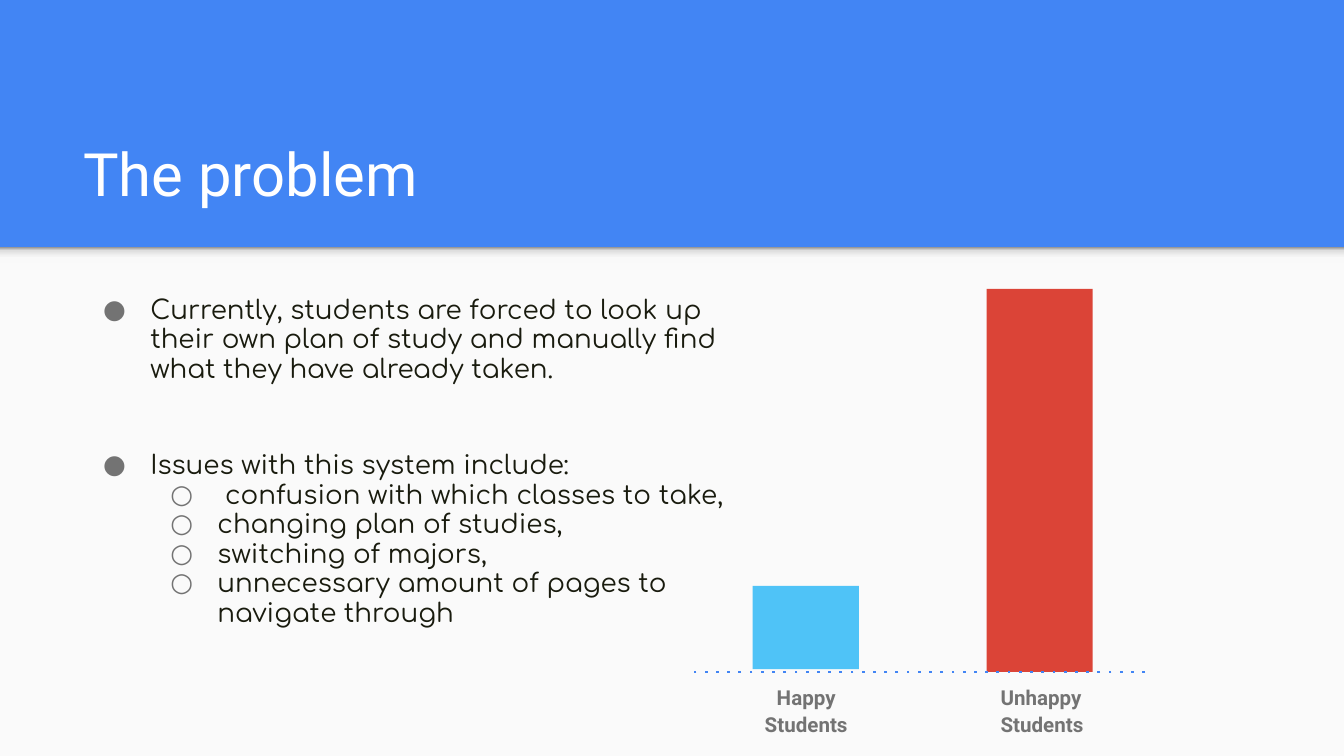
import pptx
import pptx.util
import pptx.dml.color
import pptx.enum.dml
import pptx.enum.shapes
import pptx.enum.text
import pptx.oxml
import pptx.oxml.ns
from lxml import etree

Inches, Pt = pptx.util.Inches, pptx.util.Pt
RGBColor = pptx.dml.color.RGBColor
Align, Anchor = pptx.enum.text.PP_ALIGN, pptx.enum.text.MSO_ANCHOR
qn = pptx.oxml.ns.qn

BLUE = RGBColor(0x42, 0x85, 0xF4)
PAPER = RGBColor(0xFA, 0xFA, 0xFA)
WHITE = RGBColor(0xFF, 0xFF, 0xFF)
INK = RGBColor(0x19, 0x1B, 0x0E)
GRAY = RGBColor(0x73, 0x73, 0x73)
RED = RGBColor(0xDB, 0x44, 0x37)
SKY = RGBColor(0x4F, 0xC3, 0xF7)
SHADE = [(0, "F9F9F9"), (36, "F9F9F9"), (80, "DEDEDE"), (100, "999999")]
NO_GRID = "{2D5ABB26-0587-4C30-8999-92F81FD0307C}"
WIDE = 10
HIGH = WIDE * 9 / 16


class Deck:
    """Holds the text styles and the current slide."""

    title_font = {"name": "Roboto", "size": Pt(32), "bold": False}
    body_font = {"name": "Comfortaa", "size": Pt(14)}
    label_font = {"name": "Roboto", "size": Pt(11), "bold": True}
    inset = Inches(0.1)

    def __init__(self, wide, high):
        self.prs = pptx.Presentation()
        self.prs.slide_width, self.prs.slide_height = Inches(wide), Inches(high)
        self.slide = self.prs.slides.add_slide(self.prs.slide_layouts[5])
        fill = self.slide.background.fill
        fill.solid()
        fill.fore_color.rgb = BLUE

    def style(self, para, form, color):
        for key, value in form.items():
            setattr(para.font, key, value)
        para.font.color.rgb = color

    def pad(self, box):
        for side in ("left", "right", "top", "bottom"):
            setattr(box, "margin_" + side, self.inset)

    def title(self, text, *area):
        shape = self.slide.shapes.title
        shape.left, shape.top, shape.width, shape.height = map(Inches, area)
        frame = shape.text_frame
        self.pad(frame)
        frame.auto_size = pptx.enum.text.MSO_AUTO_SIZE.NONE
        frame.vertical_anchor = Anchor.BOTTOM
        frame.text = text
        para = frame.paragraphs[0]
        para.alignment = Align.LEFT
        self.style(para, self.title_font, WHITE)

    def rect(self, color, *area):
        kind = pptx.enum.shapes.MSO_SHAPE.RECTANGLE
        shape = self.slide.shapes.add_shape(kind, *map(Inches, area))
        shape.shadow.inherit = False
        shape.fill.solid()
        shape.fill.fore_color.rgb = color
        shape.line.fill.background()
        return shape

    def fade(self, stops, *area):
        """A rectangle whose gradient runs from bottom to top."""
        shape = self.rect(WHITE, *area)
        shape.fill.gradient()
        shape.fill.gradient_angle = 90
        items = shape.element.spPr.find(qn("a:gradFill")).find(qn("a:gsLst"))
        for old in list(items):
            items.remove(old)
        for place, color in stops:
            stop = etree.SubElement(items, qn("a:gs"), pos=str(place * 1000))
            etree.SubElement(stop, qn("a:srgbClr"), val=color)

    def bullet(self, para, level):
        props = para._p.get_or_add_pPr()
        props.set("marL", str(Inches(0.5 * (level + 1))))
        props.set("indent", str(Inches(-0.35)))
        tint = etree.SubElement(props, qn("a:buClr"))
        etree.SubElement(tint, qn("a:srgbClr"), val=str(GRAY))
        etree.SubElement(props, qn("a:buFont"), typeface="Roboto")
        etree.SubElement(props, qn("a:buChar"), char="●○"[level])

    def points(self, items, *area):
        frame = self.slide.shapes.add_textbox(*map(Inches, area)).text_frame
        frame.word_wrap = True
        self.pad(frame)
        for num, (level, gap, text) in enumerate(items):
            para = frame.add_paragraph() if num else frame.paragraphs[0]
            para.text = text
            para.level = level
            self.bullet(para, level)
            para.line_spacing = 0.94
            para.space_before = Pt(gap)
            self.style(para, self.body_font, INK)

    def table(self, items, *area):
        frame = self.slide.shapes.add_table(1, len(items), *map(Inches, area))
        grid = frame.table
        grid.first_row = grid.horz_banding = False
        grid._tbl.tblPr.find(qn("a:tableStyleId")).text = NO_GRID
        for cell, (text, align) in zip(grid.iter_cells(), items):
            cell.fill.background()
            self.pad(cell)
            cell.text = text
            para = cell.text_frame.paragraphs[0]
            para.alignment = align
            para.line_spacing = 1.15
            self.style(para, self.label_font, GRAY)

    def dots(self, color, *ends):
        kind = pptx.enum.shapes.MSO_CONNECTOR.STRAIGHT
        line = self.slide.shapes.add_connector(kind, *map(Inches, ends))
        line.line.color.rgb = color
        line.line.width = Pt(1.5)
        line.line.dash_style = pptx.enum.dml.MSO_LINE.ROUND_DOT
        props = line.element.spPr
        props.find(qn("a:ln")).find(qn("a:prstDash")).set("val", "dot")
        etree.SubElement(props, qn("a:effectLst"))

    def save(self):
        self.prs.save("out.pptx")


def main():
    deck = Deck(WIDE, HIGH)

    # Page below the blue header, with its shadow
    deck.rect(PAPER, 0, 1.84, WIDE, HIGH - 1.84)
    deck.fade(SHADE, 0, 1.84, WIDE, 0.12)
    deck.title("The problem", 0.52, 0.81, 8.99, 0.84)

    # Bullets: level, space before, text
    deck.points([
        (0, 0, "Currently, students are forced to look up their own plan of "
               "study and manually find what they have already taken."),
        (0, 36, "Issues with this system include:"),
        (1, 0, " confusion with which classes to take,"),
        (1, 0, "changing plan of studies,"),
        (1, 0, "switching of majors,"),
        (1, 0, "unnecessary amount of pages to navigate through"),
    ], 0.52, 2.1, 5.03, 2.96)

    # Bar labels, bars and base line
    blank = ("", Align.LEFT)
    deck.table([("Happy Students", Align.CENTER), blank,
                ("Unhappy Students", Align.LEFT), blank],
               5.55, 4.98, 3.59, 0.61)
    deck.rect(RED, 7.34, 2.15, 0.79, 2.85)
    deck.rect(SKY, 5.6, 4.36, 0.79, 0.62)
    deck.dots(BLUE, 8.52, 5, 5.12, 5)

    deck.save()


if __name__ == "__main__":
    main()
